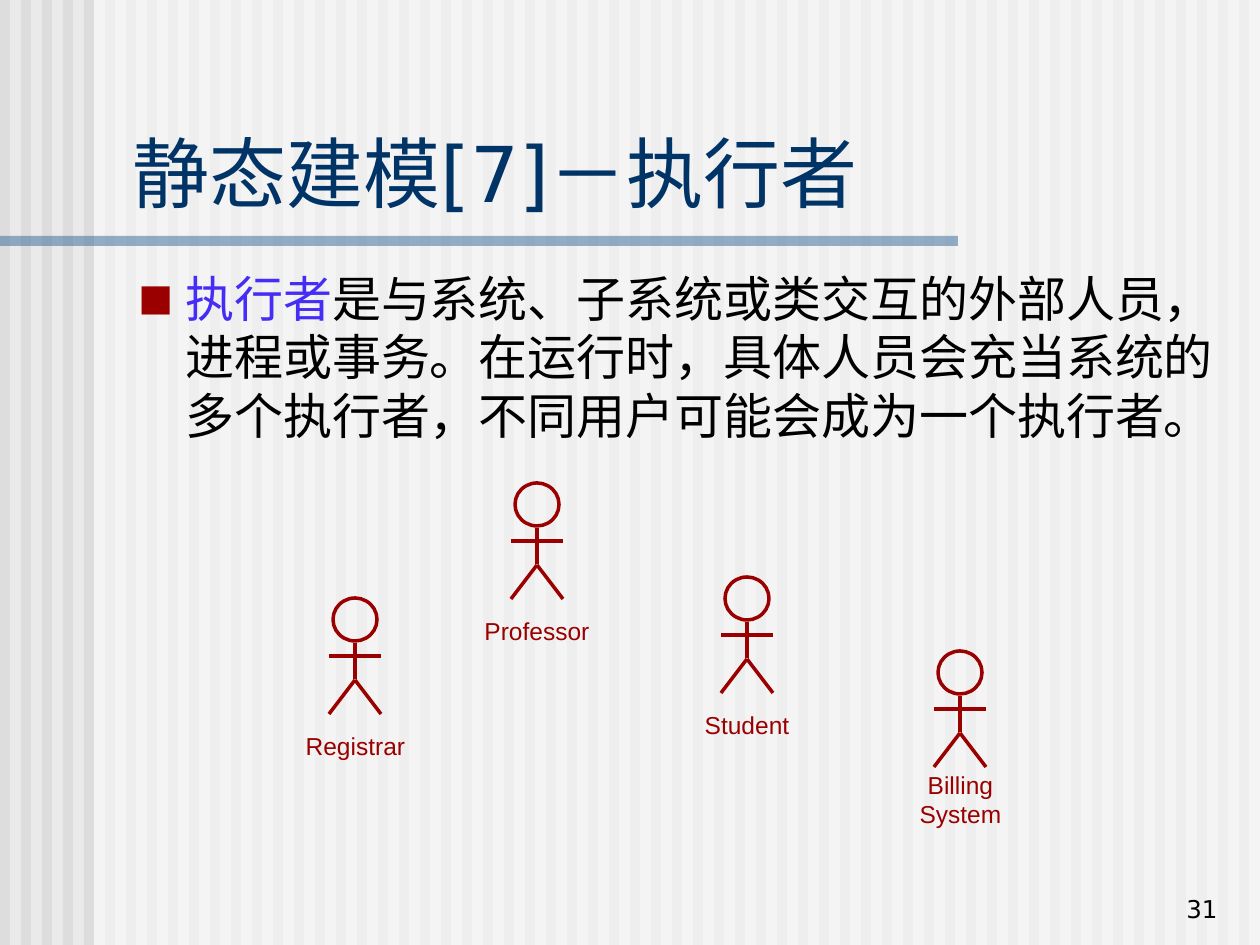
"""Builds the slide that introduces actors in static modelling."""
from dataclasses import dataclass

from lxml.etree import SubElement
from pptx import Presentation
from pptx.dml.color import RGBColor
from pptx.enum.shapes import MSO_CONNECTOR as Connector, MSO_SHAPE as Shape
from pptx.enum.text import MSO_ANCHOR as Anchor, PP_ALIGN as Align
from pptx.oxml.ns import qn
from pptx.util import Pt

SCALE = 7257
WIDTH, HEIGHT = 1260, 945


@dataclass(frozen=True)
class Theme:
    paper: str = "EAEAEA"
    stripe: str = "DDDDDD"
    veil: str = "FFFFFF"
    rule: str = "336699"
    title: str = "003366"
    term: str = "452DF5"
    text: str = "000000"
    actor: str = "9A0000"
    font: str = "DejaVu Sans"
    label_font: str = "Arial"
    title_size: int = 44
    body_size: int = 28
    small_size: int = 14
    line_width: int = 2


theme = Theme()


def add_block(shapes, box, color, alpha=None):
    block = shapes.add_shape(Shape.RECTANGLE, *[SCALE * length for length in box])
    block.shadow.inherit = False
    block.line.fill.background()
    block.fill.solid()
    block.fill.fore_color.rgb = RGBColor.from_string(color)
    if alpha:
        tint = block.fill._xPr.find(".//" + qn("a:srgbClr"))
        SubElement(tint, qn("a:alpha"), val=str(alpha * 1000))


def add_text(shapes, box, spans, size, font, anchor, align=Align.LEFT, wrap=True):
    text_box = shapes.add_textbox(*[SCALE * length for length in box])
    frame = text_box.text_frame
    frame.word_wrap = wrap
    frame.vertical_anchor = anchor
    para = frame.paragraphs[0]
    para.alignment = align
    for words, color in spans:
        span = para.add_run()
        span.text = words
        span.font.size = Pt(size)
        span.font.name = font
        span.font.color.rgb = RGBColor.from_string(color)
    return para


deck = Presentation()
deck.slide_width, deck.slide_height = WIDTH * SCALE, HEIGHT * SCALE
page = deck.slides.add_slide(deck.slide_layouts[6])
page.background.fill.solid()
page.background.fill.fore_color.rgb = RGBColor.from_string(theme.paper)

backdrop = page.shapes.add_group_shape()
for left in range(0, WIDTH, 21):
    add_block(backdrop.shapes, (left, 0, 10, HEIGHT), theme.stripe)
add_block(backdrop.shapes, (94, 0, WIDTH - 94, HEIGHT), theme.veil, 50)
add_block(backdrop.shapes, (0, 236, 958, 10), theme.rule, 50)

add_text(page.shapes, (120, 118, 1125, 106), [("静态建模[7]－执行者", theme.title)],
         theme.title_size, theme.font, Anchor.BOTTOM)

definition = [
    ("执行者", theme.term),
    ("是与系统、子系统或类交互的外部人员，进程或事务。在运行时，具体人员会充当系统的"
     "多个执行者，不同用户可能会成为一个执行者。", theme.text),
]
body = add_text(page.shapes, (126, 262, 1118, 199), definition,
                theme.body_size, theme.font, Anchor.TOP)
body.space_before = Pt(7)
body_format = body._p.get_or_add_pPr()
body_format.set("marL", str(47 * SCALE))
body_format.set("indent", str(-47 * SCALE))
bullet_color = SubElement(body_format, qn("a:buClr"))
SubElement(bullet_color, qn("a:srgbClr"), val=theme.actor)
SubElement(body_format, qn("a:buSzPct"), val="75000")
SubElement(body_format, qn("a:buFont"), typeface=theme.font)
SubElement(body_format, qn("a:buChar"), char="■")

actors = [
    ("Student", 747, 577, 110),
    ("Professor", 537, 483, 130),
    ("Billing System", 960, 651, 179),
    ("Registrar", 355, 598, 125),
]
limbs = [
    (0, 82, -26, 116),
    (0, 82, 26, 116),
    (0, 45, 0, 81),
    (-26, 58, 26, 58),
]
for name, center, top, label_width in actors:
    actor = page.shapes.add_group_shape()
    head = actor.shapes.add_shape(
        Shape.OVAL, *[SCALE * length for length in (center - 22, top, 44, 43)])
    head.shadow.inherit = False
    head.fill.background()
    strokes = [head]
    for x1, y1, x2, y2 in limbs:
        ends = (center + x1, top + y1, center + x2, top + y2)
        limb = actor.shapes.add_connector(
            Connector.STRAIGHT, *[SCALE * length for length in ends])
        SubElement(limb._element.spPr, qn("a:effectLst"))
        strokes.append(limb)
    for stroke in strokes:
        stroke.line.width = Pt(theme.line_width)
        stroke.line.color.rgb = RGBColor.from_string(theme.actor)
    add_text(actor.shapes, (center - label_width // 2, top + 127, label_width, 42),
             [(name, theme.actor)], theme.small_size, theme.label_font,
             Anchor.MIDDLE, Align.CENTER, wrap=False)

add_text(page.shapes, (968, 867, 262, 63), [("31", theme.text)],
         theme.small_size, theme.font, Anchor.BOTTOM, Align.RIGHT)

deck.save("out.pptx")
